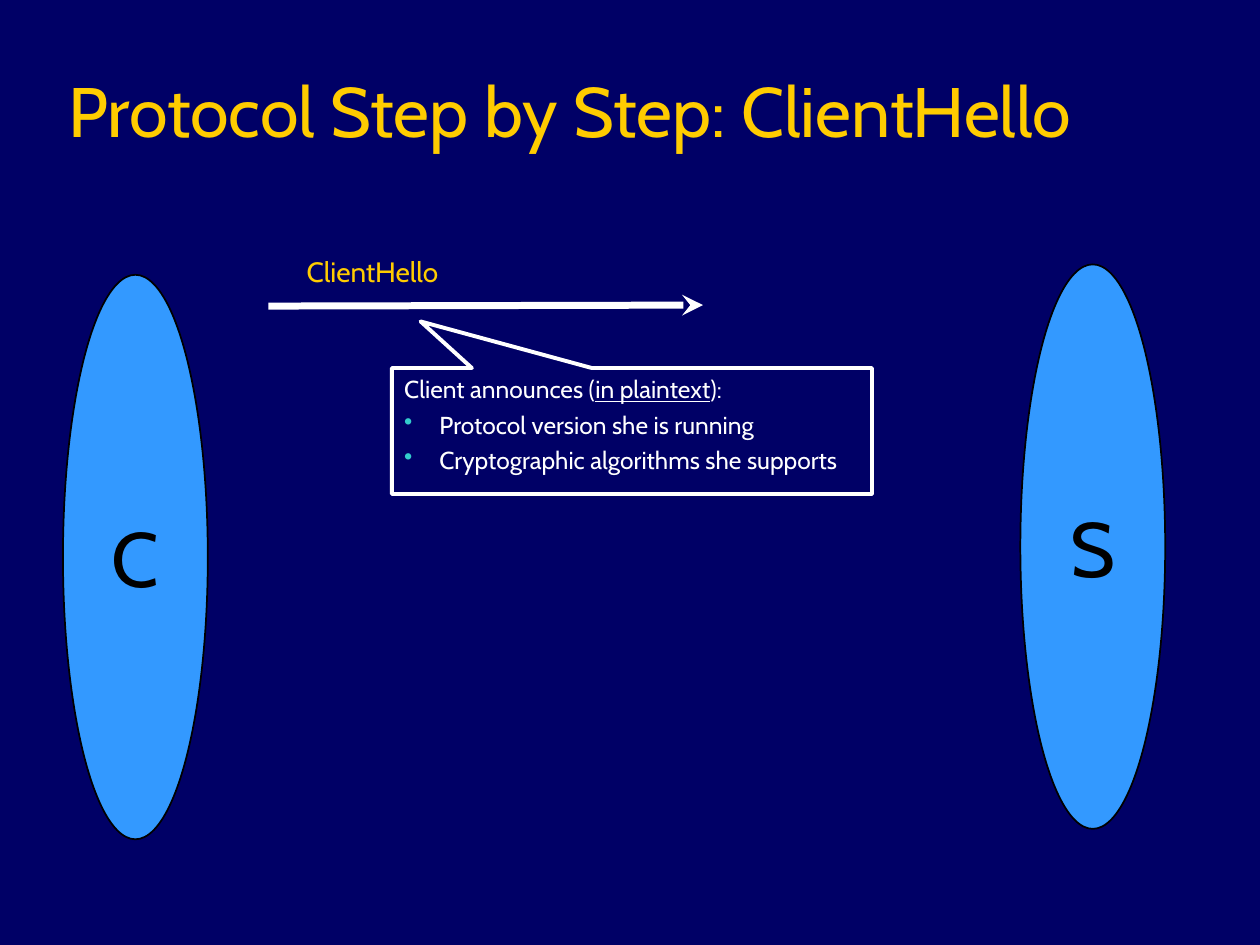
from dataclasses import dataclass

from lxml.etree import SubElement
from pptx import Presentation
from pptx.dml.color import RGBColor
from pptx.enum.shapes import MSO_CONNECTOR, MSO_SHAPE
from pptx.enum.text import MSO_ANCHOR, PP_ALIGN
from pptx.oxml.ns import qn
from pptx.slide import Slide
from pptx.util import Cm, Pt


def rgb(value):
    return RGBColor.from_string(value)


@dataclass
class Deck:
    s: Slide
    font: str = "Cabin"
    background: str = "000066"
    accent: str = "FFCC00"
    light: str = "FFFFFF"
    dark: str = "000000"
    party_fill: str = "3399FF"
    bullet_color: str = "33CCCC"

    def paint_background(self):
        fill = self.s.background.fill
        fill.solid()
        fill.fore_color.rgb = rgb(self.background)

    def place(self, sp, box):
        sp.left, sp.top, sp.width, sp.height = [Cm(v) for v in box]

    def add_run(self, p, text, size, color, underline=None):
        r = p.add_run()
        r.text = text
        r.font.name = self.font
        r.font.size = Pt(size)
        r.font.color.rgb = rgb(color)
        r.font.underline = underline

    def title(self, text, box):
        sp = self.s.shapes.title
        self.place(sp, box)
        tf = sp.text_frame
        tf.vertical_anchor = MSO_ANCHOR.BOTTOM
        p = tf.paragraphs[0]
        p.alignment = PP_ALIGN.LEFT
        self.add_run(p, text, 40, self.accent)

    def shape(self, kind, box, line, width, fill=None):
        sp = self.s.shapes.add_shape(kind, *[Cm(v) for v in box])
        sp.shadow.inherit = False
        if fill:
            sp.fill.solid()
            sp.fill.fore_color.rgb = rgb(fill)
        else:
            sp.fill.background()
        sp.line.color.rgb = rgb(line)
        sp.line.width = Pt(width)
        return sp

    def party(self, name, left, top):
        box = (left, top, 2.92, 11.38)
        sp = self.shape(MSO_SHAPE.OVAL, box, self.dark, 1, self.party_fill)
        tf = sp.text_frame
        tf.word_wrap = False
        tf.vertical_anchor = MSO_ANCHOR.MIDDLE
        p = tf.paragraphs[0]
        p.alignment = PP_ALIGN.CENTER
        self.add_run(p, name, 44, self.dark)

    def arrow(self, start, end):
        cn = self.s.shapes.add_connector(
            MSO_CONNECTOR.STRAIGHT, *[Cm(v) for v in start + end]
        )
        cn.line.color.rgb = rgb(self.light)
        cn.line.width = Pt(4)
        sp_pr = cn._element.spPr
        SubElement(sp_pr.find(qn("a:ln")), qn("a:tailEnd"), type="stealth")
        SubElement(sp_pr, qn("a:effectLst"))

    def label(self, text, box):
        sp = self.s.shapes.add_textbox(*[Cm(v) for v in box])
        tf = sp.text_frame
        tf.word_wrap = False
        p = tf.paragraphs[0]
        p.alignment = PP_ALIGN.CENTER
        self.add_run(p, text, 16, self.accent)

    def bullet(self, p):
        indent = Cm(0.71)
        p_pr = p._p.get_or_add_pPr()
        p_pr.set("marL", str(indent))
        p_pr.set("indent", str(-indent))
        color = SubElement(p_pr, qn("a:buClr"))
        SubElement(color, qn("a:srgbClr"), val=self.bullet_color)
        SubElement(p_pr, qn("a:buChar"), char="•")

    def callout(self, box, pointer, heading, items):
        sp = self.shape(MSO_SHAPE.RECTANGULAR_CALLOUT, box, self.light, 2.25)
        sp.adjustments[0], sp.adjustments[1] = pointer
        tf = sp.text_frame
        tf.word_wrap = True
        tf.vertical_anchor = MSO_ANCHOR.TOP
        p = tf.paragraphs[0]
        p.alignment = PP_ALIGN.LEFT
        for text, underline in heading:
            self.add_run(p, text, 14, self.light, underline)
        for item in items:
            p = tf.add_paragraph()
            p.alignment = PP_ALIGN.LEFT
            p.space_before = Pt(3.5)
            self.bullet(p)
            self.add_run(p, item, 14, self.light)


def main():
    prs = Presentation()
    prs.slide_width, prs.slide_height = Cm(25.4), Cm(19.05)
    deck = Deck(prs.slides.add_slide(prs.slide_layouts[5]))
    deck.paint_background()
    deck.title("Protocol Step by Step: ClientHello", (1.12, 0.64, 21.59, 2.54))
    deck.party("C", 1.27, 5.54)
    deck.arrow((5.41, 6.17), (14.17, 6.15))
    deck.label("ClientHello", (5.82, 5, 3.38, 0.94))
    deck.party("S", 20.57, 5.33)
    deck.callout(
        (7.9, 7.42, 9.68, 2.54),
        (-0.44, -0.87),
        [("Client announces (", None), ("in plaintext", True), ("):", None)],
        ["Protocol version she is running", "Cryptographic algorithms she supports"],
    )
    prs.save("out.pptx")


if __name__ == "__main__":
    main()
